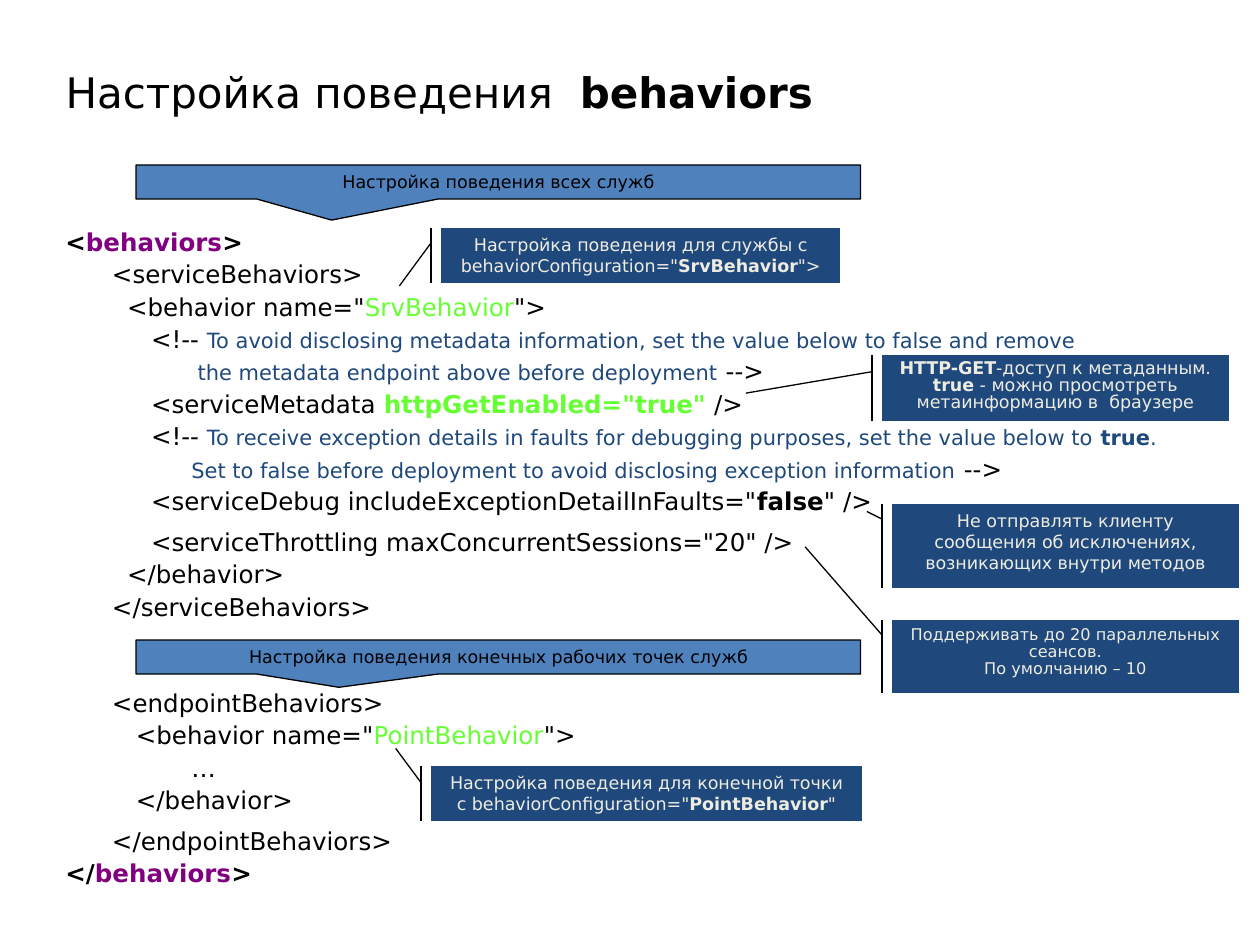
from dataclasses import dataclass

from lxml.etree import SubElement
from pptx import Presentation
from pptx.dml.color import RGBColor
from pptx.enum.shapes import MSO_SHAPE
from pptx.enum.text import MSO_ANCHOR, PP_ALIGN
from pptx.oxml.ns import qn
from pptx.util import Inches, Pt

COLORS = {
    "black": "000000",
    "tag": "800080",
    "value": "66FF33",
    "comment": "1F497D",
    "note": "1F497D",
    "note_text": "EEECE1",
    "banner": "4F81BD",
}
FONT = "DejaVu Sans"


@dataclass
class Span:
    text: str
    color: str = "black"
    bold: bool = False
    size: float = 14


@dataclass
class CodeLine:
    indent: float
    spans: list[Span]
    space_before: float = 0


@dataclass
class Banner:
    top: float
    text: str
    tip: tuple[float, float]


@dataclass
class Note:
    left: float
    top: float
    width: float
    height: float
    target: tuple[float, float]
    elbow: float
    lines: list[list[Span]]
    spacing: float = 1.0


def add_span(para, span: Span) -> None:
    run = para.add_run()
    run.text = span.text
    run.font.name = FONT
    run.font.size = Pt(span.size)
    run.font.bold = span.bold
    run.font.color.rgb = RGBColor.from_string(COLORS[span.color])


def add_filled_shape(page, kind, left: float, top: float, width: float, height: float, color: str):
    shape = page.shapes.add_shape(kind, Inches(left), Inches(top), Inches(width), Inches(height))
    shape.shadow.inherit = False
    shape.fill.solid()
    shape.fill.fore_color.rgb = RGBColor.from_string(COLORS[color])
    shape.line.color.rgb = RGBColor.from_string(COLORS["black"])
    shape.line.width = Pt(0.75)
    shape.text_frame.word_wrap = True
    shape.text_frame.vertical_anchor = MSO_ANCHOR.TOP
    shape.text_frame.paragraphs[0].alignment = PP_ALIGN.CENTER
    return shape


def draw_title(page, spans: list[Span]) -> None:
    title = page.shapes.title
    title.left, title.top = Inches(0.42), Inches(0.48)
    title.width, title.height = Inches(9.17), Inches(0.5)
    title.text_frame.vertical_anchor = MSO_ANCHOR.MIDDLE
    para = title.text_frame.paragraphs[0]
    para.alignment = PP_ALIGN.LEFT
    for span in spans:
        add_span(para, span)


def draw_code(page, lines: list[CodeLine]) -> None:
    box = page.shapes.add_textbox(Inches(0.42), Inches(1.73), Inches(9.58), Inches(5.38))
    frame = box.text_frame
    frame.word_wrap = True
    for index, line in enumerate(lines):
        para = frame.add_paragraph() if index else frame.paragraphs[0]
        para.line_spacing = 1.1
        para.space_before = Pt(line.space_before)
        properties = para._p.get_or_add_pPr()
        properties.set("marL", str(Inches(line.indent)))
        properties.set("indent", "0")
        SubElement(properties, qn("a:buNone"))
        for span in line.spans:
            add_span(para, span)


def draw_banner(page, banner: Banner) -> None:
    shape = add_filled_shape(
        page, MSO_SHAPE.RECTANGULAR_CALLOUT, 1.08, banner.top, 5.75, 0.27, "banner")
    shape.adjustments[0], shape.adjustments[1] = banner.tip
    add_span(shape.text_frame.paragraphs[0], Span(banner.text, size=10))


def draw_note(page, note: Note) -> None:
    shape = add_filled_shape(
        page, MSO_SHAPE.LINE_CALLOUT_1_ACCENT_BAR,
        note.left, note.top, note.width, note.height, "note")
    target_x, target_y = note.target
    points = [(note.left - 0.08, note.elbow), (target_x, target_y)]
    for index, (x, y) in enumerate(points):
        shape.adjustments[2 * index] = (y - note.top) / note.height
        shape.adjustments[2 * index + 1] = (x - note.left) / note.width
    para = shape.text_frame.paragraphs[0]
    para.line_spacing = note.spacing
    for index, line in enumerate(note.lines):
        if index:
            para.add_line_break()
        for span in line:
            add_span(para, span)


def note_span(text: str, bold: bool = False, size: float = 10) -> Span:
    return Span(text, "note_text", bold, size)


def comment(text: str, bold: bool = False) -> Span:
    return Span(text, "comment", bold, 12)


def root_tag(opening: str) -> list[Span]:
    return [Span(opening, bold=True), Span("behaviors", "tag", True), Span(">", bold=True)]


def named_behavior(name: str) -> list[Span]:
    return [Span('<behavior name="'), Span(name, "value"), Span('">')]


CODE = [
    CodeLine(0, root_tag("<")),
    CodeLine(0.37, [Span("<serviceBehaviors>")]),
    CodeLine(0.49, named_behavior("SrvBehavior")),
    CodeLine(0.68, [Span("<!-- "), comment(
        "To avoid disclosing metadata information, set the value below to false and remove")]),
    CodeLine(1.05, [comment("the metadata endpoint above before deployment"), Span(" -->")]),
    CodeLine(0.68, [Span("<serviceMetadata "), Span('httpGetEnabled="true"', "value", True),
                    Span(" />")]),
    CodeLine(0.68, [Span("<!-- "), comment(
        "To receive exception details in faults for debugging purposes, set the value below to "),
        comment("true", True), comment(".")]),
    CodeLine(1, [comment("Set to false before deployment to avoid disclosing exception information"),
                 Span(" -->")]),
    CodeLine(0.68, [Span('<serviceDebug includeExceptionDetailInFaults="'),
                    Span("false", bold=True), Span('" />')]),
    CodeLine(0.68, [Span('<serviceThrottling maxConcurrentSessions="20" />')], 5),
    CodeLine(0.49, [Span("</behavior>")]),
    CodeLine(0.37, [Span("</serviceBehaviors>")]),
    CodeLine(0.37, [Span("<endpointBehaviors>")], 36.5),
    CodeLine(0.56, named_behavior("PointBehavior")),
    CodeLine(1, [Span("…")]),
    CodeLine(0.56, [Span("</behavior>")]),
    CodeLine(0.37, [Span("</endpointBehaviors>")], 5),
    CodeLine(0, root_tag("</")),
]
NOTES = [
    Note(7, 2.82, 2.75, 0.52, (5.92, 3.12), 2.95, [
        [note_span("HTTP-GET", True), note_span("-доступ к метаданным.")],
        [note_span("true", True), note_span(" - можно просмотреть метаинформацию в  браузере")],
    ], 0.8),
    Note(3.5, 1.81, 3.17, 0.44, (3.17, 2.27), 1.93, [
        [note_span('Настройка поведения для службы с behaviorConfiguration="'),
         note_span("SrvBehavior", True), note_span('">')]]),
    Note(3.42, 6.08, 3.42, 0.44, (3.14, 5.94), 6.21, [
        [note_span('Настройка поведения для конечной точки с behaviorConfiguration="'),
         note_span("PointBehavior", True), note_span('"')]]),
    Note(7.08, 4, 2.75, 0.67, (6.88, 4.06), 4.12, [
        [note_span("Не отправлять клиенту сообщения об исключениях, возникающих внутри методов")]]),
    Note(7.08, 4.92, 2.75, 0.58, (6.39, 4.34), 5.04, [
        [note_span("Поддерживать до 20 параллельных сеансов.", size=9.2)],
        [note_span("По умолчанию – 10", size=9.2)]], 0.9),
]
BANNERS = [
    Banner(1.31, "Настройка поведения всех служб", (-0.23, 1.12)),
    Banner(5.08, "Настройка поведения конечных рабочих точек служб", (-0.22, 0.89)),
]


def main() -> None:
    deck = Presentation()
    deck.slide_width, deck.slide_height = Inches(10), Inches(7.5)
    page = deck.slides.add_slide(deck.slide_layouts[5])
    draw_title(page, [Span("Настройка поведения  ", size=24), Span("behaviors", bold=True, size=24)])
    draw_code(page, CODE)
    for note in NOTES:
        draw_note(page, note)
    for banner in BANNERS:
        draw_banner(page, banner)
    deck.save("out.pptx")


if __name__ == "__main__":
    main()
